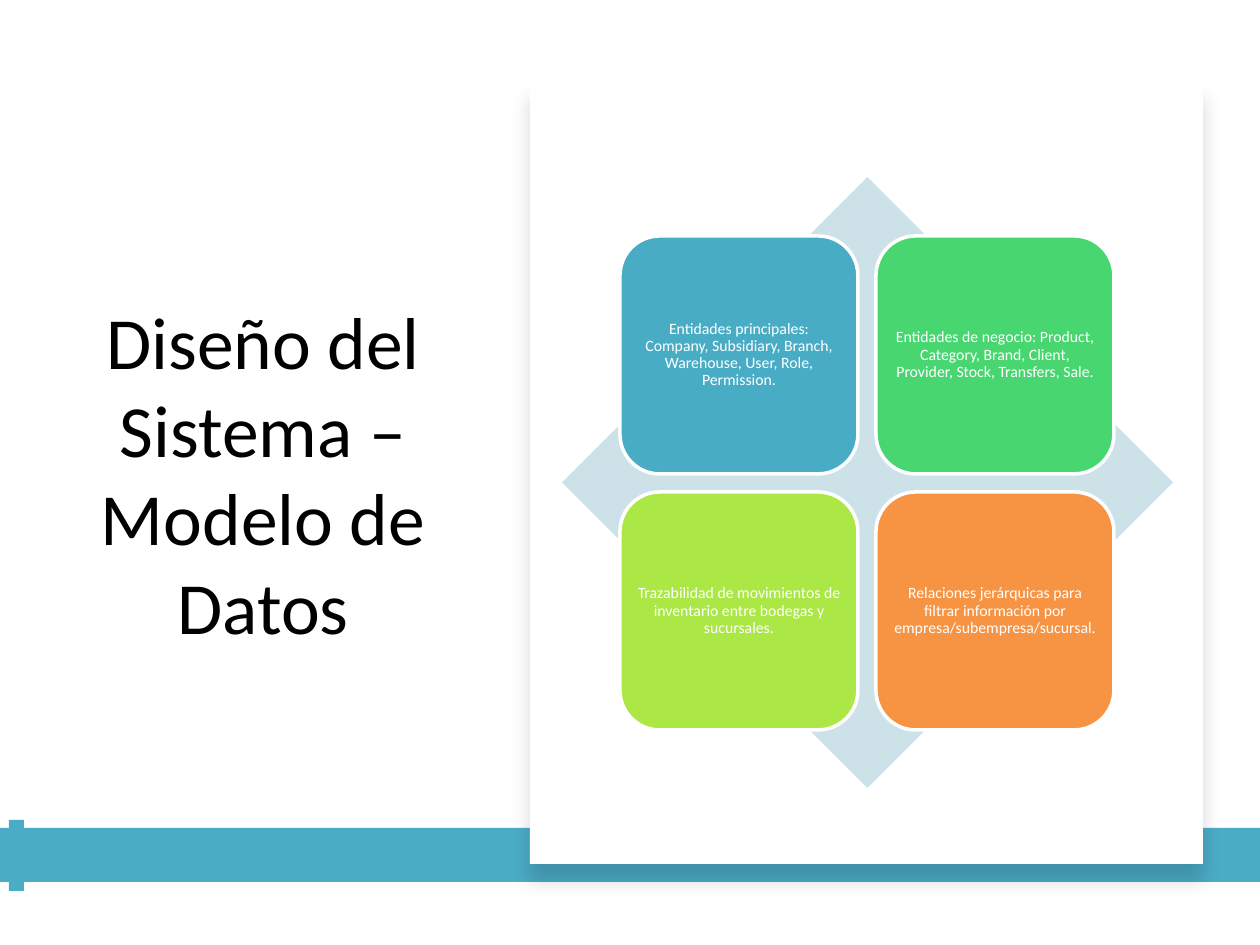
from lxml import etree
from pptx import Presentation
from pptx.dml.color import RGBColor
from pptx.enum.shapes import MSO_SHAPE
from pptx.enum.text import MSO_ANCHOR, PP_ALIGN
from pptx.oxml.ns import qn
from pptx.util import Emu, Pt

RECTANGLE = MSO_SHAPE.RECTANGLE
DIAMOND = MSO_SHAPE.DIAMOND
ROUNDED = MSO_SHAPE.ROUNDED_RECTANGLE
MIDDLE = MSO_ANCHOR.MIDDLE
CENTER = PP_ALIGN.CENTER

BLACK = RGBColor(0x00, 0x00, 0x00)
WHITE = RGBColor(0xFF, 0xFF, 0xFF)
BAND_BLUE = RGBColor(0x4B, 0xAC, 0xC6)
PALE_BLUE = RGBColor(0xCD, 0xE1, 0xE8)
BLUE = RGBColor(0x49, 0xAC, 0xC5)
GREEN = RGBColor(0x47, 0xD6, 0x70)
LIME = RGBColor(0xAB, 0xE7, 0x45)
ORANGE = RGBColor(0xF6, 0x94, 0x44)

PX_PER_INCH = 126
EMU_PER_INCH = 914400

TILE_LEFT, TILE_TOP, TILE_SIZE, TILE_PITCH = 620, 236, 238, 256
TILES = [
    (BLUE, "Entidades principales: Company, Subsidiary, Branch, Warehouse, User, Role, Permission."),
    (GREEN, "Entidades de negocio: Product, Category, Brand, Client, Provider, Stock, Transfers, Sale."),
    (LIME, "Trazabilidad de movimientos de inventario entre bodegas y sucursales."),
    (ORANGE, "Relaciones jerárquicas para filtrar información por empresa/subempresa/sucursal."),
]


def px(length):
    return Emu(round(length * EMU_PER_INCH / PX_PER_INCH))


def write_text(frame, text, *, font, size, color, inset_x, inset_y, spacing=1.0):
    frame.word_wrap = True
    frame.vertical_anchor = MIDDLE
    frame.margin_left = frame.margin_right = px(inset_x)
    frame.margin_top = frame.margin_bottom = px(inset_y)
    paragraph = frame.paragraphs[0]
    paragraph.alignment = CENTER
    paragraph.line_spacing = spacing
    run = paragraph.add_run()
    run.text = text
    run.font.name = font
    run.font.size = Pt(size)
    run.font.color.rgb = color


class SlideBuilder:
    font = "Calibri"

    def __init__(self, slide):
        self.slide = slide

    def title(self, text, left, top, width, height):
        heading = self.slide.shapes.add_textbox(px(left), px(top), px(width), px(height))
        write_text(heading.text_frame, text, font=self.font, size=42, color=BLACK,
                   inset_x=13, inset_y=6)

    def block(self, kind, fill, left, top, width, height):
        block = self.slide.shapes.add_shape(kind, px(left), px(top), px(width), px(height))
        block.shadow.inherit = False
        block.fill.solid()
        block.fill.fore_color.rgb = fill
        block.line.fill.background()
        return block

    def card(self, left, top, width, height):
        card = self.block(RECTANGLE, WHITE, left, top, width, height)
        effects = card.fill._xPr.find(qn("a:effectLst"))
        shadow = etree.SubElement(effects, qn("a:outerShdw"), blurRad=str(Pt(11)),
                                  dist=str(Pt(10)), dir="5400000", rotWithShape="0")
        shade = etree.SubElement(shadow, qn("a:srgbClr"), val=str(BLACK))
        etree.SubElement(shade, qn("a:alpha"), val="15000")

    def tile(self, text, fill, left, top, size):
        tile = self.block(ROUNDED, fill, left, top, size, size)
        tile.adjustments[0] = 0.167
        tile.line.color.rgb = WHITE
        tile.line.width = Pt(2)
        write_text(tile.text_frame, text, font=self.font, size=9, color=WHITE,
                   inset_x=5, inset_y=5, spacing=0.9)


def main():
    deck = Presentation()
    deck.slide_width, deck.slide_height = px(1260), px(945)
    builder = SlideBuilder(deck.slides.add_slide(deck.slide_layouts[6]))

    builder.title("Diseño del Sistema – Modelo de Datos", 67, 151, 392, 643)
    builder.block(RECTANGLE, BAND_BLUE, 9, 820, 15, 71)
    builder.block(RECTANGLE, BAND_BLUE, 0, 828, 1260, 54)
    builder.card(530, 81, 673, 783)
    builder.block(DIAMOND, PALE_BLUE, 562, 177, 611, 611)
    for index, (fill, text) in enumerate(TILES):
        row, column = divmod(index, 2)
        builder.tile(text, fill, TILE_LEFT + column * TILE_PITCH,
                     TILE_TOP + row * TILE_PITCH, TILE_SIZE)

    deck.save("out.pptx")


if __name__ == "__main__":
    main()
